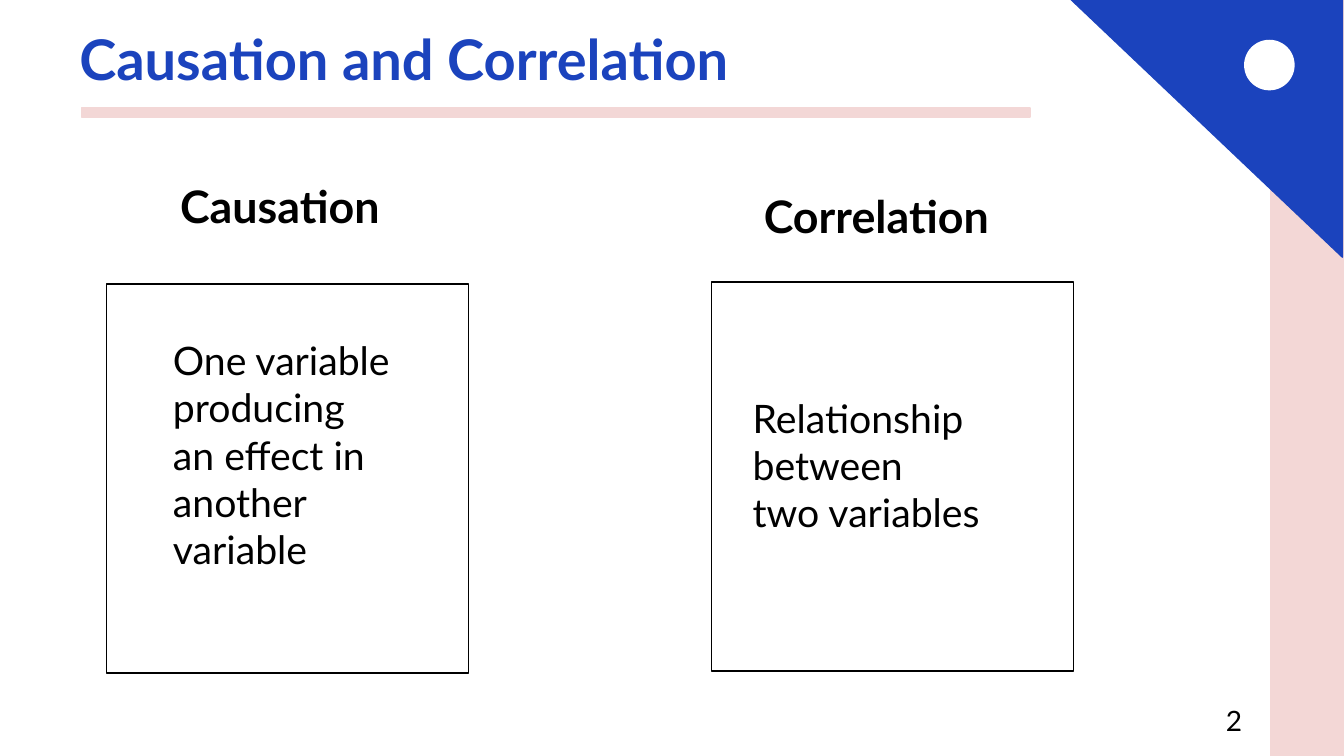
from pptx import Presentation
from pptx.dml.color import RGBColor
from pptx.enum.shapes import MSO_SHAPE
from pptx.enum.text import MSO_ANCHOR, PP_ALIGN
from pptx.util import Cm, Pt

BLUE, PINK, WHITE, BLACK = "1B43BD", "F3D7D6", "FFFFFF", "000000"


def colour(code):
    return RGBColor.from_string(code)


class SlideBuilder:
    font = "Lato"

    def __init__(self, page):
        self.page = page

    def shape(self, kind, left, top, width, height, fill, line, rotation=0):
        shape = self.page.shapes.add_shape(
            kind, Cm(left), Cm(top), Cm(width), Cm(height))
        shape.shadow.inherit = False
        shape.fill.solid()
        shape.fill.fore_color.rgb = colour(fill)
        shape.line.color.rgb = colour(line)
        shape.line.width = Pt(1)
        shape.rotation = rotation

    def text(self, left, top, width, height, lines, size, ink=BLACK,
             bold=False, align=PP_ALIGN.LEFT, anchor=MSO_ANCHOR.TOP, spacing=1.0):
        box = self.page.shapes.add_textbox(
            Cm(left), Cm(top), Cm(width), Cm(height))
        frame = box.text_frame
        frame.word_wrap = True
        frame.vertical_anchor = anchor
        for index, line in enumerate(lines):
            para = frame.add_paragraph() if index else frame.paragraphs[0]
            para.alignment = align
            para.line_spacing = spacing
            span = para.add_run()
            span.text = line
            span.font.name = self.font
            span.font.size = Pt(size)
            span.font.bold = bold
            span.font.color.rgb = colour(ink)


def main():
    deck = Presentation()
    deck.slide_width, deck.slide_height = Cm(33.87), Cm(19.05)
    builder = SlideBuilder(deck.slides.add_slide(deck.slide_layouts[6]))

    # Side band, corner triangle, dot and title rule
    builder.shape(MSO_SHAPE.RECTANGLE, 32.03, 0, 1.83, 19.05, PINK, PINK)
    builder.shape(MSO_SHAPE.RIGHT_TRIANGLE, 26.95, -0.05, 6.88, 6.53, BLUE, BLUE, 180)
    builder.shape(MSO_SHAPE.OVAL, 31.37, 1.02, 1.24, 1.24, WHITE, WHITE)
    builder.shape(MSO_SHAPE.RECTANGLE, 2.06, 2.72, 23.9, 0.23, PINK, PINK)

    # Title
    builder.text(1.75, 0.53, 29.21, 2.06, ["Causation and Correlation"], 40, BLUE,
                 bold=True, anchor=MSO_ANCHOR.MIDDLE, spacing=0.9)

    # Frame, heading and definition of each concept
    concepts = [
        ((17.93, 7.11), "Correlation", (19, 4.62, 6.4, 1.63),
         ["Relationship between", "two variables"], (18.72, 9.8, 6.25, 3.84)),
        ((2.69, 7.16), "Causation", (4.29, 4.39, 5.64, 1.63),
         ["One variable producing", "an effect in another variable"],
         (4.11, 8.36, 6.25, 6.25)),
    ]
    for corner, heading, heading_area, definition, definition_area in concepts:
        builder.shape(MSO_SHAPE.RECTANGLE, *corner, 9.12, 9.8, WHITE, BLACK)
        builder.text(*heading_area, [heading], 32, bold=True)
        builder.text(*definition_area, definition, 28)

    # Page number
    builder.text(23.93, 17.65, 7.62, 1.02, ["2"], 20,
                 align=PP_ALIGN.RIGHT, anchor=MSO_ANCHOR.MIDDLE)

    deck.save("out.pptx")


if __name__ == "__main__":
    main()
